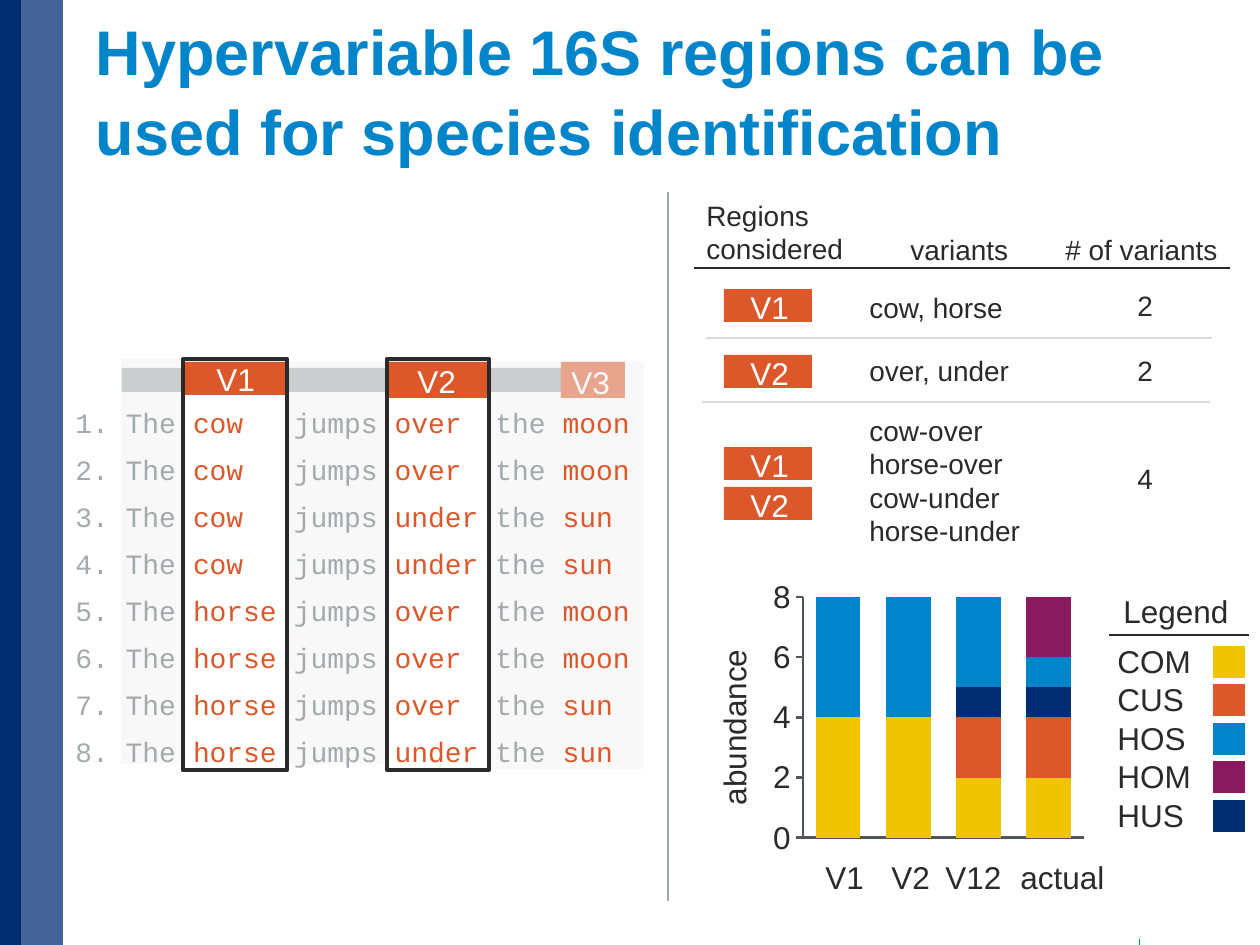
from lxml import etree
from pptx import Presentation
from pptx import util as u
from pptx.chart.data import CategoryChartData
from pptx.dml.color import RGBColor
from pptx.enum import chart as charts, shapes, text
from pptx.oxml import parse_xml
from pptx.oxml.ns import nsdecls, qn

NAVY = RGBColor(0x00, 0x2D, 0x72)
BLUE = RGBColor(0x00, 0x85, 0xCA)
ORANGE = RGBColor(0xDC, 0x58, 0x2A)
YELLOW = RGBColor(0xF1, 0xC4, 0x00)
PURPLE = RGBColor(0x8A, 0x1B, 0x61)
GRAY = RGBColor(0xA2, 0xAA, 0xAD)
SLATE = RGBColor(0x4E, 0x56, 0x59)
PALE = RGBColor(0xF2, 0xF2, 0xF2)
RULE = RGBColor(0xD9, 0xD9, 0xD9)
INK = RGBColor(0x2C, 0x2A, 0x29)
WHITE = RGBColor(0xFF, 0xFF, 0xFF)

SENTENCES = [
    ("cow", "over", "moon"), ("cow", "over", "moon"),
    ("cow", "under", "sun"), ("cow", "under", "sun"),
    ("horse", "over", "moon"), ("horse", "over", "moon"),
    ("horse", "over", "sun"), ("horse", "under", "sun"),
]
COLUMN_STARTS = (7, 13, 19, 25, 29)  # in characters
REGIONS = ("V1", "V2", "V12", "actual")
ABUNDANCE = {  # bottom of the stack first
    "COM": (YELLOW, (4, 4, 2, 2)),
    "CUS": (ORANGE, (None, None, 2, 2)),
    "HUS": (NAVY, (None, None, 1, 1)),
    "HOS": (BLUE, (4, 4, 3, 1)),
    "HOM": (PURPLE, (None, None, None, 2)),
}


def px(value):
    return round(value * 914400 / 126)


def set_font(font, size, color, name="Arial", bold=False):
    values = {"size": u.Pt(size), "name": name, "bold": bold}
    for attribute, value in values.items():
        setattr(font, attribute, value)
    font.color.rgb = color


def set_layout(parent, x, y, width=None, height=None, inner=False):
    """Fix the place of a chart part, in fractions of the chart."""
    for old in parent.findall(qn("c:layout")):
        parent.remove(old)
    layout = parse_xml(f"<c:layout {nsdecls('c')}><c:manualLayout/></c:layout>")
    manual = layout[0]
    values = {"layoutTarget": "inner" if inner else None, "xMode": "edge",
              "yMode": "edge", "x": x, "y": y, "w": width, "h": height}
    for tag, value in values.items():
        if value is not None:
            etree.SubElement(manual, qn(f"c:{tag}")).set("val", str(value))
    text_part = parent.find(qn("c:tx"))
    parent.insert(0 if text_part is None else 1, layout)


class SlideBuilder:
    def __init__(self, slide):
        self.slide = slide

    def title(self, content, x, y, width, height):
        shape = self.slide.shapes.title
        for name, value in zip(("left", "top", "width", "height"), (x, y, width, height)):
            setattr(shape, name, px(value))
        frame = shape.text_frame
        values = {"margin_left": 0, "word_wrap": True, "text": content,
                  "vertical_anchor": text.MSO_ANCHOR.BOTTOM,
                  "auto_size": text.MSO_AUTO_SIZE.NONE}
        for attribute, value in values.items():
            setattr(frame, attribute, value)
        paragraph = frame.paragraphs[0]
        paragraph.alignment = text.PP_ALIGN.LEFT
        paragraph.line_spacing = 1.05
        set_font(paragraph.runs[0].font, 36, BLUE, bold=True)

    def rectangle(self, x, y, width, height, fill=None, alpha=None, line=None, parent=None):
        shape = (parent or self.slide).shapes.add_shape(
            shapes.MSO_SHAPE.RECTANGLE, *map(px, (x, y, width, height)))
        shape.shadow.inherit = False
        if fill is None:
            shape.fill.background()
        else:
            shape.fill.solid()
            shape.fill.fore_color.rgb = fill
        if alpha:
            color = shape.fill._xPr.find(".//" + qn("a:srgbClr"))
            etree.SubElement(color, qn("a:alpha")).set("val", str(alpha * 1000))
        if line is None:
            shape.line.fill.background()
        else:
            shape.line.color.rgb = line
            shape.line.width = u.Pt(2.5)

    def line(self, x1, y1, x2, y2, color, width):
        connector = self.slide.shapes.add_connector(
            shapes.MSO_CONNECTOR.STRAIGHT, *map(px, (x1, y1, x2, y2)))
        connector.line.color.rgb = color
        connector.line.width = u.Pt(width)
        etree.SubElement(connector._element.spPr, qn("a:effectLst"))

    def frame(self, x, y, width, height, wrap=False, parent=None):
        box = (parent or self.slide).shapes.add_textbox(*map(px, (x, y, width, height)))
        box.text_frame.word_wrap = wrap
        box.text_frame.auto_size = text.MSO_AUTO_SIZE.SHAPE_TO_FIT_TEXT
        return box.text_frame

    def label(self, content, x, y, width, height=50, size=18, color=INK, wrap=False, parent=None):
        frame = self.frame(x, y, width, height, wrap, parent)
        frame.text = content
        for paragraph in frame.paragraphs:
            set_font(paragraph.runs[0].font, size, color)

    def tag(self, content, x, y):
        """Region name on an orange block, as one group."""
        group = self.slide.shapes.add_group_shape()
        self.rectangle(x, y, 88, 33, ORANGE, parent=group)
        self.label(content, x + 14, y - 7, 64, color=WHITE, parent=group)

    def sentence(self, number, words, y):
        paragraph = self.frame(63, y, 587, 46, wrap=True).paragraphs[0]
        tabs = etree.SubElement(paragraph._p.get_or_add_pPr(), qn("a:tabLst"))
        for start in COLUMN_STARTS:
            tab = etree.SubElement(tabs, qn("a:tab"))
            tab.set("pos", str(u.Pt(9.6 * start)))
            tab.set("algn", "l")
        first, second, third = words
        parts = (f"{number}. The\t", f"{first}\t", "jumps\t", f"{second}\t", "the\t", third)
        for index, part in enumerate(parts):
            run = paragraph.add_run()
            run.text = part
            set_font(run.font, 16, ORANGE if index % 2 else GRAY, "Courier New")

    def abundance_chart(self, x, y, width, height):
        data = CategoryChartData()
        data.categories = REGIONS
        for name, (_, values) in ABUNDANCE.items():
            data.add_series(name, values)
        chart = self.slide.shapes.add_chart(
            charts.XL_CHART_TYPE.COLUMN_STACKED, *map(px, (x, y, width, height)), data).chart
        chart.has_legend = chart.has_title = False
        set_font(chart.font, 18, INK)
        plot = chart.plots[0]
        plot.gap_width, plot.overlap, plot.vary_by_categories = 57, 100, False
        for series, (color, _) in zip(plot.series, ABUNDANCE.values()):
            series.format.fill.solid()
            series.format.fill.fore_color.rgb = color
        for axis in (chart.category_axis, chart.value_axis):
            axis.has_major_gridlines = False
            axis.format.line.color.rgb = SLATE
            axis.format.line.width = u.Pt(1.5)
        chart.category_axis.tick_label_position = charts.XL_TICK_LABEL_POSITION.NONE
        chart.category_axis.major_tick_mark = charts.XL_TICK_MARK.NONE
        axis = chart.value_axis
        axis.minimum_scale, axis.maximum_scale, axis.major_unit = 0, 8, 2
        axis.major_tick_mark = charts.XL_TICK_MARK.OUTSIDE
        frame = axis.axis_title.text_frame
        frame.text = "abundance"
        frame._txBody.bodyPr.set("rot", "-5400000")
        set_font(frame.paragraphs[0].runs[0].font, 18, INK)
        set_layout(axis.axis_title._element, round((708 - x) / width, 4), round((644 - y) / height, 4))
        set_layout(chart._chartSpace.find(".//" + qn("c:plotArea")),
                   *(round(v, 4) for v in ((803 - x) / width, (597 - y) / height,
                                           281 / width, 241 / height)), inner=True)


def main():
    presentation = Presentation()
    presentation.slide_width, presentation.slide_height = px(1260), px(945)
    builder = SlideBuilder(presentation.slides.add_slide(presentation.slide_layouts[5]))

    builder.line(1139, 871, 1139, 945, BLUE, 0.25)
    builder.rectangle(0, 0, 21, 945, NAVY)
    builder.rectangle(21, 0, 42, 945, NAVY, alpha=73)
    builder.rectangle(469, 858, 780, 81, WHITE)
    builder.title("Hypervariable 16S regions can be used for species identification", 96, 16, 1130, 158)

    # Aligned sentences with their variable regions
    builder.rectangle(122, 368, 503, 24, GRAY)
    for name, x, width, height, text_x, text_y in (
            ("V1", 184, 103, 33, 204, 354), ("V2", 388, 102, 36, 405, 356),
            ("V3", 561, 64, 36, 559, 357)):
        builder.rectangle(x, 362, width, height, ORANGE)
        builder.label(name, text_x, text_y, 64, color=WHITE)
    for x, y, width, height in ((489, 362, 155, 407), (289, 362, 100, 402), (121, 359, 63, 405)):
        builder.rectangle(x, y, width, height, PALE, alpha=50)
    for x, width in ((183, 104), (387, 102)):
        builder.rectangle(x, 359, width, 411, line=INK)
    for index, words in enumerate(SENTENCES):
        builder.sentence(index + 1, words, 399 + 47 * index)

    # Variants found in each region
    builder.line(668, 192, 668, 901, GRAY, 0.75)
    for content, x, y, width, height in (
            ("Regions\nconsidered", 694, 192, 164, 81), ("variants", 898, 226, 125, 46),
            ("# of variants", 1053, 226, 180, 46)):
        builder.label(content, x, y, width, height, size=16)
    for x1, x2, y, color, width in (
            (694, 1230, 268, INK, 1.5), (706, 1212, 338, RULE, 0.75), (702, 1210, 402, RULE, 0.75)):
        builder.line(x1, y, x2, y, color, width)
    for name, y in (("V1", 289), ("V2", 355), ("V1", 447), ("V2", 487)):
        builder.tag(name, 724, y)
    for variants, y, count, count_y in (
            ("cow, horse", 284, "2", 282), ("over, under", 347, "2", 347),
            ("cow-over\nhorse-over\ncow-under\nhorse-under", 407, "4", 455)):
        builder.label(variants, 857, y, 189, 46, size=16, wrap=True)
        builder.label(count, 1125, count_y, 67, 46, size=16, wrap=True)

    # Abundance by region
    builder.abundance_chart(700, 570, 420, 295)
    for name, x, width in zip(REGIONS, (813, 879, 933, 1008), (64, 64, 88, 111)):
        builder.label(name, x, 852, width)
    builder.label("Legend", 1111, 586, 131)
    builder.line(1109, 635, 1249, 635, INK, 0.75)
    for index, name in enumerate(("COM", "CUS", "HOS", "HOM", "HUS")):
        y = 636 + index * 77 // 2
        builder.label(name, 1105, y, 99)
        builder.rectangle(1213, y + 10, 32, 32, ABUNDANCE[name][0])

    presentation.save("out.pptx")


if __name__ == "__main__":
    main()
